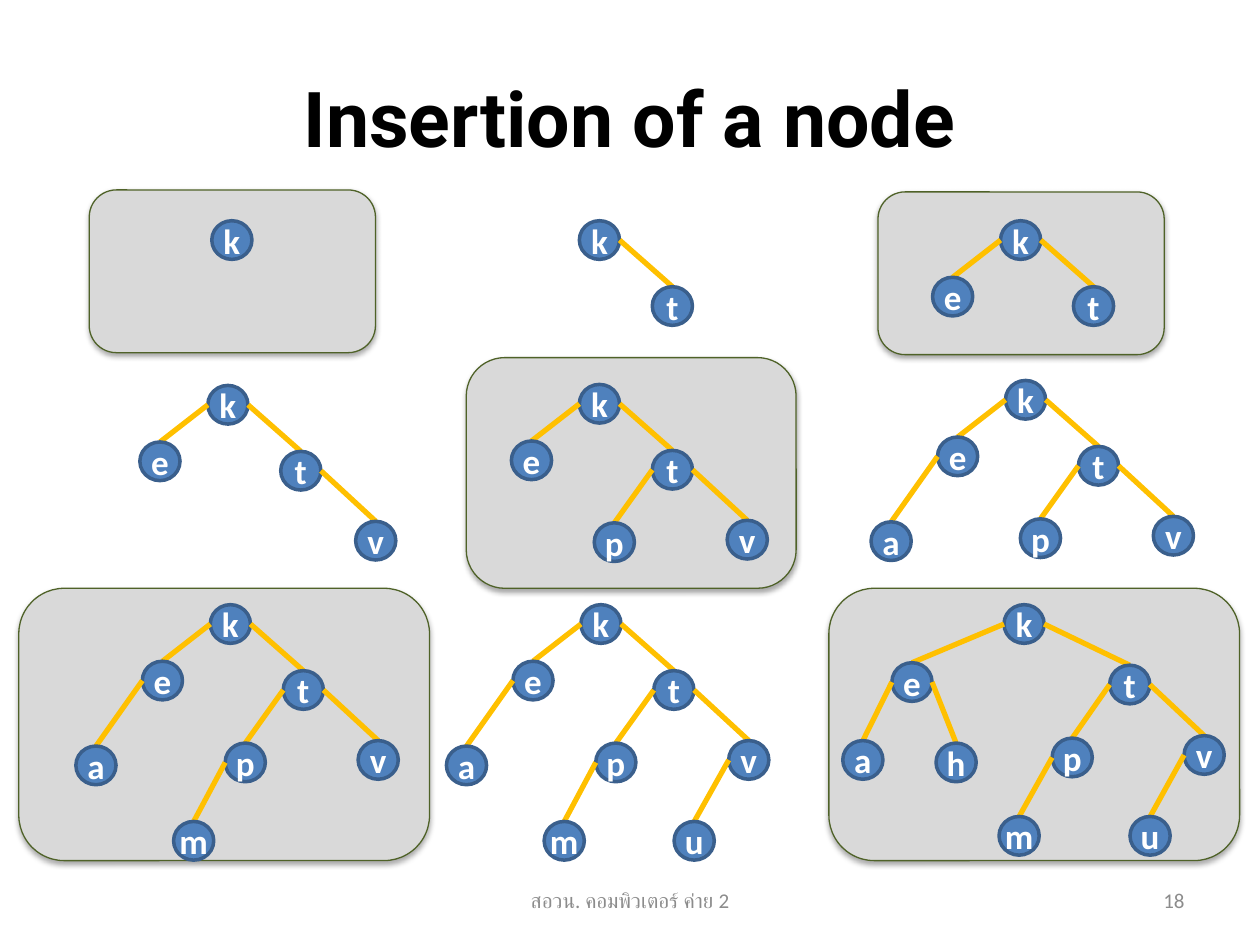
from lxml.etree import SubElement
from pptx import Presentation
from pptx.dml.color import RGBColor
from pptx.enum.shapes import MSO_CONNECTOR, MSO_SHAPE
from pptx.enum.text import MSO_ANCHOR, PP_ALIGN
from pptx.oxml.ns import qn
from pptx.util import Cm, Pt

BLACK = RGBColor(0x00, 0x00, 0x00)
WHITE = RGBColor(0xFF, 0xFF, 0xFF)
GREY_TEXT = RGBColor(0x8C, 0x8C, 0x8C)
PANEL_FILL = RGBColor(0xD9, 0xD9, 0xD9)
PANEL_LINE = RGBColor(0x4F, 0x62, 0x28)
NODE_FILL = RGBColor(0x4F, 0x81, 0xBD)
NODE_LINE = RGBColor(0x3A, 0x5F, 0x8C)
EDGE = RGBColor(0xFF, 0xC0, 0x00)

NODE_WIDTH, NODE_HEIGHT = 0.81, 0.78
INSERTION_ORDER = "ktevpamuh"

PANELS = [
    (1.8, 3.83, 5.77, 3.28),
    (17.7, 3.87, 5.77, 3.28),
    (9.4, 7.21, 6.65, 4.65),
    (0.38, 11.86, 8.28, 5.49),
    (16.71, 11.86, 8.28, 5.49),
]

ROOTS = [
    (4.27, 4.45), (11.68, 4.45), (20.17, 4.45),
    (4.19, 7.77), (11.68, 7.75), (20.27, 7.67),
    (4.24, 12.19), (11.71, 12.19), (20.24, 12.19),
]

NARROW_OFFSETS = {
    "k": (0, 0), "t": (1.47, 1.33), "e": (-1.37, 1.14), "v": (2.98, 2.74),
    "p": (0.3, 2.79), "a": (-2.71, 2.85), "m": (-0.74, 4.37), "u": (1.88, 4.37),
}
WIDE_OFFSETS = {
    "k": (0, 0), "t": (2.13, 1.22), "e": (-2.26, 1.17), "v": (3.63, 2.64),
    "p": (0.97, 2.69), "a": (-3.25, 2.74), "m": (-0.1, 4.27), "u": (2.54, 4.27),
    "h": (-1.37, 2.79),
}


def find_parents(keys):
    children, parents = {}, {}
    for key in keys[1:]:
        current = keys[0]
        while (current, key > current) in children:
            current = children[current, key > current]
        children[current, key > current] = key
        parents[key] = current
    return parents


def style_run(paragraph, font_name, size, color, bold=False):
    font = paragraph.runs[0].font
    font.name = font_name
    font.size = Pt(size)
    font.bold = bold
    font.color.rgb = color


def paint(shape, fill, line, line_width):
    shape.shadow.inherit = False
    shape.fill.solid()
    shape.fill.fore_color.rgb = fill
    shape.line.color.rgb = line
    shape.line.width = Pt(line_width)


def place_title(slide, wording):
    title = slide.shapes.title
    title.left, title.top = Cm(1.27), Cm(0.76)
    title.width, title.height = Cm(22.86), Cm(3.18)
    title.text_frame.text = wording
    title.text_frame.vertical_anchor = MSO_ANCHOR.MIDDLE
    heading = title.text_frame.paragraphs[0]
    heading.alignment = PP_ALIGN.CENTER
    style_run(heading, "Roboto", 44, BLACK, True)


def add_footer(slide, wording, left, width, alignment):
    footer = slide.shapes.add_textbox(Cm(left), Cm(17.65), Cm(width), Cm(1.01))
    frame = footer.text_frame
    frame.word_wrap = True
    frame.vertical_anchor = MSO_ANCHOR.MIDDLE
    frame.text = wording
    frame.paragraphs[0].alignment = alignment
    style_run(frame.paragraphs[0], "Calibri", 12, GREY_TEXT)


def add_panel(slide, bounds):
    panel = slide.shapes.add_shape(MSO_SHAPE.ROUNDED_RECTANGLE, *map(Cm, bounds))
    paint(panel, PANEL_FILL, PANEL_LINE, 0.75)
    effects = panel._element.spPr.find(qn("a:effectLst"))
    shadow = SubElement(effects, qn("a:outerShdw"), blurRad="40000", dist="23000",
                        dir="5400000", rotWithShape="0")
    shade = SubElement(shadow, qn("a:srgbClr"), val=str(BLACK))
    SubElement(shade, qn("a:alpha"), val="35000")


def add_node(shapes, key, position):
    node = shapes.add_shape(MSO_SHAPE.OVAL, *map(Cm, position),
                            Cm(NODE_WIDTH), Cm(NODE_HEIGHT))
    paint(node, NODE_FILL, NODE_LINE, 2)
    frame = node.text_frame
    frame.margin_left = frame.margin_right = frame.margin_top = frame.margin_bottom = 0
    frame.word_wrap = False
    frame.vertical_anchor = MSO_ANCHOR.MIDDLE
    frame.text = key
    frame.paragraphs[0].alignment = PP_ALIGN.CENTER
    style_run(frame.paragraphs[0], "Calibri", 20, WHITE, True)


def add_edge(shapes, parent_position, child_position, to_right):
    parent_x, parent_y = parent_position
    child_x, child_y = child_position
    start_x = parent_x + (NODE_WIDTH if to_right else 0)
    edge = shapes.add_connector(
        MSO_CONNECTOR.STRAIGHT, Cm(start_x), Cm(parent_y + NODE_HEIGHT / 2),
        Cm(child_x + NODE_WIDTH / 2), Cm(child_y))
    edge.line.color.rgb = EDGE
    edge.line.width = Pt(3)
    SubElement(edge._element.spPr, qn("a:effectLst"))


def add_tree(slide, keys, root, offsets):
    shapes = slide.shapes if len(keys) == 1 else slide.shapes.add_group_shape().shapes
    parents = find_parents(keys)
    positions = {key: (root[0] + offsets[key][0], root[1] + offsets[key][1])
                 for key in keys}
    for key in keys:
        if key in parents:
            parent = parents[key]
            add_edge(shapes, positions[parent], positions[key], key > parent)
        add_node(shapes, key, positions[key])


def main():
    presentation = Presentation()
    presentation.slide_width, presentation.slide_height = Cm(25.4), Cm(19.05)
    slide = presentation.slides.add_slide(presentation.slide_layouts[5])
    for bounds in PANELS:
        add_panel(slide, bounds)
    place_title(slide, "Insertion of a node")
    add_footer(slide, "สอวน. คอมพิวเตอร์ ค่าย 2", 8.68, 8.04, PP_ALIGN.CENTER)
    add_footer(slide, "18", 18.2, 5.93, PP_ALIGN.RIGHT)
    for count, root in enumerate(ROOTS, start=1):
        offsets = WIDE_OFFSETS if count == len(ROOTS) else NARROW_OFFSETS
        add_tree(slide, INSERTION_ORDER[:count], root, offsets)
    presentation.save("out.pptx")


if __name__ == "__main__":
    main()
